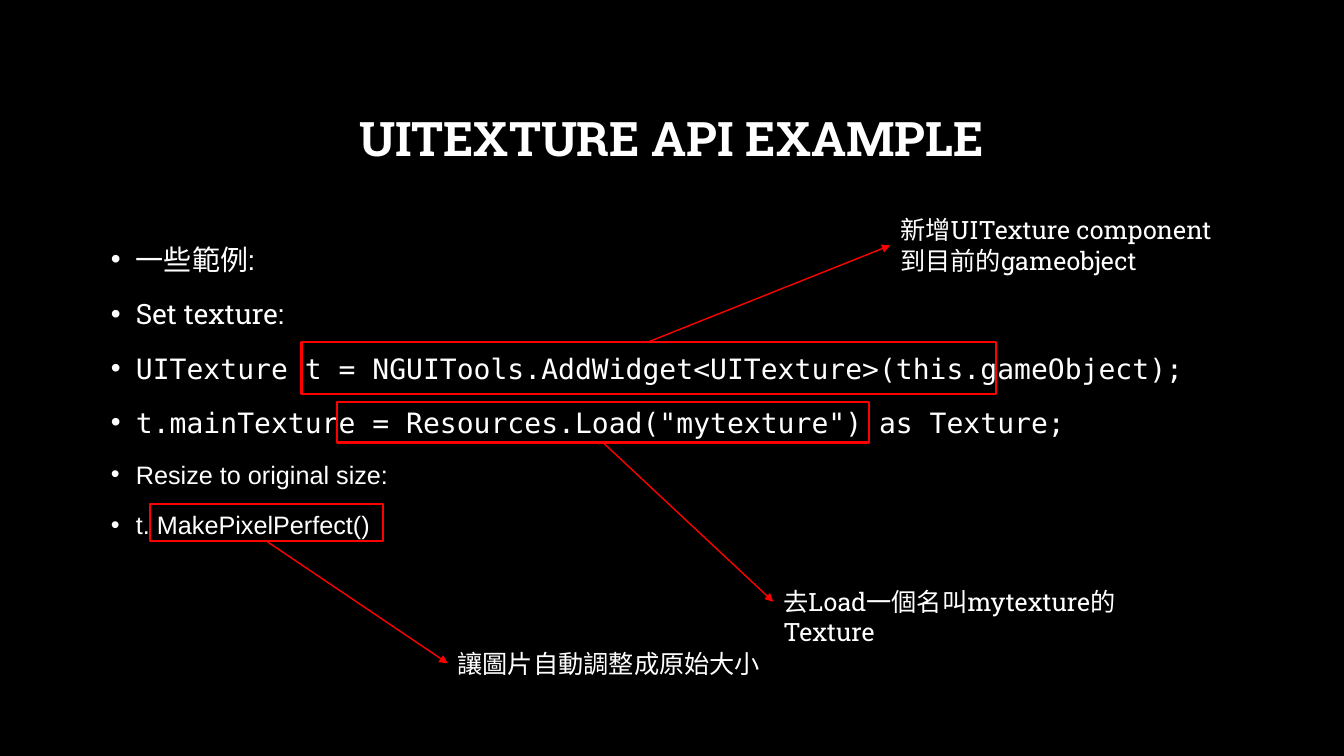
import pptx
import pptx.util
import pptx.dml.color
import pptx.enum.shapes
import pptx.enum.text
import pptx.oxml
import pptx.oxml.ns
from dataclasses import dataclass

Inches, Pt = pptx.util.Inches, pptx.util.Pt
Align = pptx.enum.text.PP_ALIGN
Anchor = pptx.enum.text.MSO_ANCHOR


@dataclass(frozen=True)
class Theme:
    back: str = "000000"
    ink: str = "FFFFFF"
    mark: str = "FF0000"
    slab: str = "Roboto Slab"
    mono: str = "DejaVu Sans Mono"
    sans: str = "Arial"
    head: int = 34
    body: int = 20
    small: int = 18
    frame: float = 1.5
    arrow: float = 1


THEME = Theme()

TITLE = "UITEXTURE API EXAMPLE"
TITLE_BOX = (1, 0.67, 11.32, 1.45)
BODY_BOX = (1, 2.29, 11.32, 4.04)

# text, font, size
LINES = [
    ("一些範例:", THEME.slab, THEME.body),
    ("Set texture:", THEME.slab, THEME.body),
    ("UITexture t = NGUITools.AddWidget<UITexture>(this.gameObject);", THEME.mono, THEME.body),
    ('t.mainTexture = Resources.Load("mytexture") as Texture;', THEME.mono, THEME.body),
    ("Resize to original size:", THEME.sans, THEME.small),
    ("t. MakePixelPerfect()", THEME.sans, THEME.small),
]

# framed code, note box, note text
CALLS = [
    ((3.34, 3.99, 5.28, 0.4), (7.67, 5.77, 4.32, 0.4), "去Load一個名叫mytexture的Texture"),
    ((2.99, 3.39, 6.89, 0.52), (8.83, 2.08, 3.39, 0.71), "新增UITexture component 到目前的gameobject"),
    ((1.49, 5, 2.31, 0.37), (4.44, 6.38, 3.67, 0.4), "讓圖片自動調整成原始大小"),
]


def color(code):
    return pptx.dml.color.RGBColor.from_string(code)


def add_xml(parent, tag, attrs=""):
    space = pptx.oxml.ns.nsdecls("a")
    parent.append(pptx.oxml.parse_xml(f"<a:{tag} {space} {attrs}/>"))


def style(para, font, size, bold=False):
    for run in para.runs:
        run.font.name = font
        run.font.size = Pt(size)
        run.font.bold = bold
        run.font.color.rgb = color(THEME.ink)


def add_text(slide, box, text):
    frame = slide.shapes.add_textbox(*map(Inches, box)).text_frame
    frame.word_wrap = True
    frame.text = text
    return frame


def add_title(slide):
    frame = add_text(slide, TITLE_BOX, TITLE)
    frame.vertical_anchor = Anchor.MIDDLE
    para = frame.paragraphs[0]
    para.alignment = Align.CENTER
    para.line_spacing = 0.9
    style(para, THEME.slab, THEME.head, True)


def add_body(slide):
    frame = add_text(slide, BODY_BOX, "\n".join(line[0] for line in LINES))
    for i, (para, (_, font, size)) in enumerate(zip(frame.paragraphs, LINES)):
        para.line_spacing = 1.2
        if i:
            para.space_before = Pt(10)
        props = para._p.get_or_add_pPr()
        props.set("marL", str(Inches(0.25)))
        props.set("indent", str(-Inches(0.25)))
        add_xml(props, "buFont", 'typeface="Arial"')
        add_xml(props, "buChar", 'char="•"')
        style(para, font, size)


def add_frame(slide, box):
    kind = pptx.enum.shapes.MSO_SHAPE.RECTANGLE
    shape = slide.shapes.add_shape(kind, *map(Inches, box))
    shape.shadow.inherit = False
    shape.fill.background()
    shape.line.color.rgb = color(THEME.mark)
    shape.line.width = Pt(THEME.frame)


def add_arrow(slide, box, note):
    """Point from the frame's near edge to the middle of the note's left side."""
    left, top, width, height = box
    end_y = note[1] + note[3] / 2
    start_y = top if end_y < top else top + height
    ends = (left + width / 2, start_y, note[0], end_y)
    kind = pptx.enum.shapes.MSO_CONNECTOR.STRAIGHT
    arrow = slide.shapes.add_connector(kind, *map(Inches, ends))
    arrow.line.color.rgb = color(THEME.mark)
    arrow.line.width = Pt(THEME.arrow)
    add_xml(arrow.line._get_or_add_ln(), "tailEnd", 'type="triangle"')
    add_xml(arrow._element.spPr, "effectLst")


def main():
    deck = pptx.Presentation()
    deck.slide_width, deck.slide_height = Inches(13.33), Inches(7.5)
    slide = deck.slides.add_slide(deck.slide_layouts[6])
    slide.background.fill.solid()
    slide.background.fill.fore_color.rgb = color(THEME.back)
    add_title(slide)
    add_body(slide)
    for box, note, text in CALLS:
        add_frame(slide, box)
        add_arrow(slide, box, note)
        frame = add_text(slide, note, text)
        style(frame.paragraphs[0], THEME.slab, THEME.small)
    deck.save("out.pptx")


if __name__ == "__main__":
    main()
